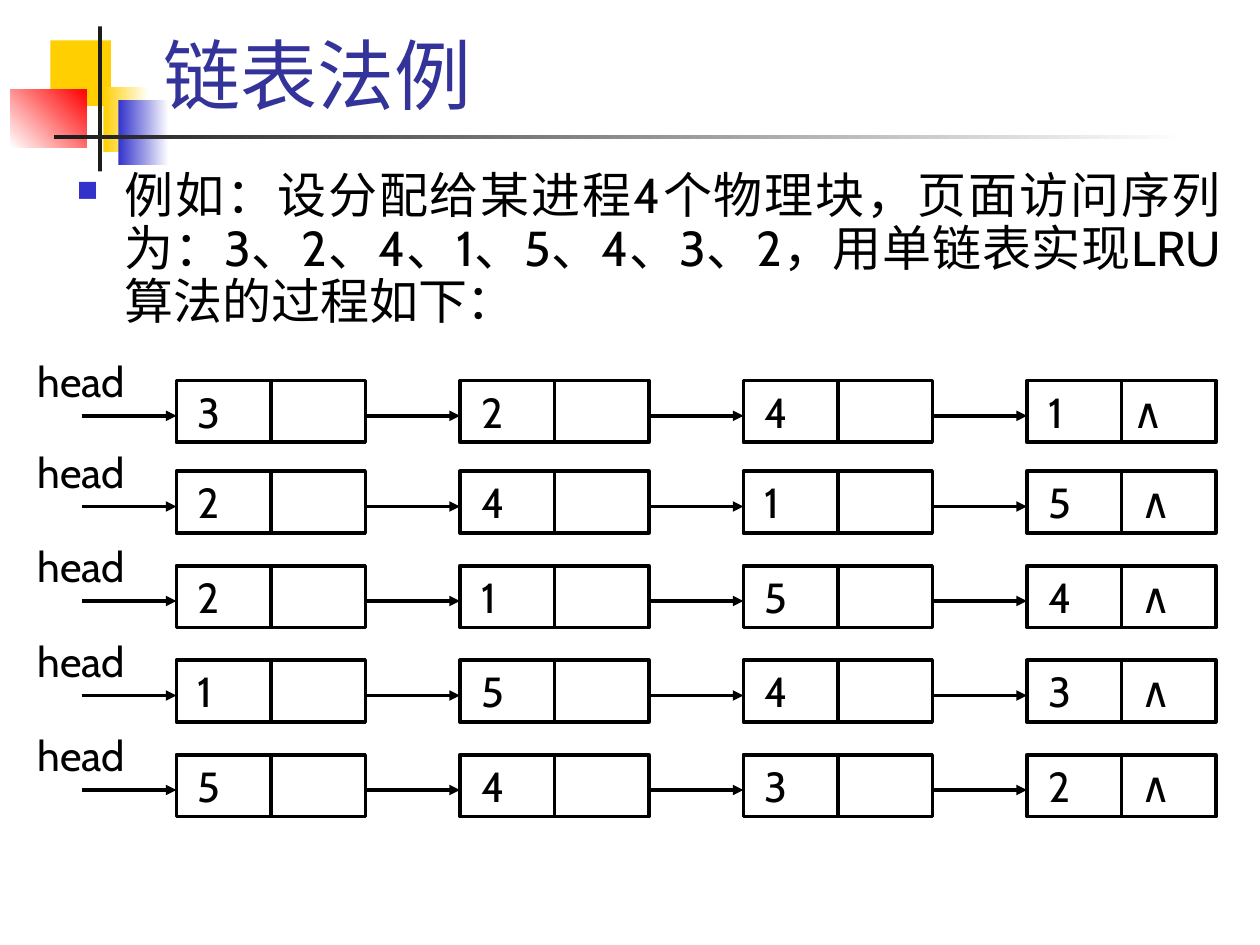
"""Build the slide showing LRU page replacement with a singly linked list."""
from dataclasses import dataclass

import pptx
import pptx.dml.color
import pptx.enum.shapes
import pptx.enum.text
import pptx.oxml
import pptx.oxml.ns
import pptx.util

PX = 9144
FONT = "Cabin"
COLORS = {
    "black": "000000", "ink": "1C1C1C", "white": "FFFFFF", "gold": "FFCF01",
    "blue": "3333CC", "red": "FF0000", "title": "333399",
}
ALIGN = pptx.enum.text.PP_ALIGN
ANCHOR = pptx.enum.text.MSO_ANCHOR
RECT = pptx.enum.shapes.MSO_SHAPE.RECTANGLE
STRAIGHT = pptx.enum.shapes.MSO_CONNECTOR.STRAIGHT

NODE_LEFT, NODE_PITCH, NODE_W, NODE_H = 140, 225, 150, 49
ARROW_W, ARROW_DROP = 75, 28


@dataclass
class Block:
    """A decorative rectangle with a solid or two-colour fill."""
    x: int
    y: int
    w: int
    h: int
    colors: tuple[str, ...]
    angle: int = 0


@dataclass
class ListRow:
    """One state of the linked list."""
    y: int
    pages: str
    null_tab: int = 73


BLOCKS = [
    Block(40, 32, 48, 52, ("gold",)),
    Block(82, 69, 36, 52, ("gold", "white")),
    Block(94, 79, 40, 52, ("blue", "white")),
    Block(8, 71, 61, 46, ("white", "red"), 45),
    Block(78, 21, 3, 115, ("ink",)),
    Block(43, 107, 900, 3, ("ink", "white")),
]
ROWS = [
    ListRow(302, "3241", 67),
    ListRow(374, "2415"),
    ListRow(449, "2154"),
    ListRow(524, "1543"),
    ListRow(599, "5432"),
]


def px(n: int) -> pptx.util.Emu:
    """Turn pixels into EMU."""
    return pptx.util.Emu(n * PX)


def rgb(name: str) -> pptx.dml.color.RGBColor:
    """Look up a named colour."""
    return pptx.dml.color.RGBColor.from_string(COLORS[name])


def add_xml(parent, xml: str) -> None:
    """Append a DrawingML element given as text with the a: prefix."""
    head, sep, rest = xml.partition(" ")
    parent.append(pptx.oxml.parse_xml(f"{head} {pptx.oxml.ns.nsdecls('a')} {rest}"))


def set_text(sp, text: str, size: int, color: str = "black", anchor=ANCHOR.MIDDLE,
             align=ALIGN.LEFT, insets: tuple[int, int] = (10, 5)):
    """Fill a shape with one formatted paragraph and return the paragraph."""
    tf = sp.text_frame
    tf.text = text
    tf.word_wrap = True
    tf.vertical_anchor = anchor
    tf.margin_left = tf.margin_right = px(insets[0])
    tf.margin_top = tf.margin_bottom = px(insets[1])
    p = tf.paragraphs[0]
    p.alignment = align
    for r in p.runs:
        r.font.name = FONT
        r.font.size = pptx.util.Pt(size)
        r.font.color.rgb = rgb(color)
    return p


def add_block(shapes, b: Block) -> None:
    """Draw one decorative rectangle."""
    sp = shapes.add_shape(RECT, px(b.x), px(b.y), px(b.w), px(b.h))
    sp.shadow.inherit = False
    sp.line.fill.background()
    if len(b.colors) == 1:
        sp.fill.solid()
        sp.fill.fore_color.rgb = rgb(b.colors[0])
        return
    sp.fill.gradient()
    sp.fill.gradient_angle = b.angle
    for stop, name in zip(sp.fill.gradient_stops, b.colors):
        stop.color.rgb = rgb(name)


def add_line(shapes, x1: int, y1: int, x2: int, y2: int, arrow: bool = False):
    """Draw a straight black line, with an arrowhead at its end on request."""
    cxn = shapes.add_connector(STRAIGHT, px(x1), px(y1), px(x2), px(y2))
    cxn.line.width = pptx.util.Pt(2)
    cxn.line.color.rgb = rgb("black")
    if arrow:
        add_xml(cxn.line._get_or_add_ln(), '<a:tailEnd type="triangle"/>')
    add_xml(cxn._element.spPr, "<a:effectLst />")
    return cxn


def add_node(shapes, x: int, y: int, text: str, null_tab: int) -> None:
    """Draw a list node, its divider and the arrow that leads to it."""
    sp = shapes.add_shape(RECT, px(x), px(y), px(NODE_W), px(NODE_H))
    sp.shadow.inherit = False
    sp.fill.background()
    sp.line.color.rgb = rgb("black")
    sp.line.width = pptx.util.Pt(2)
    p = set_text(sp, text, 24, insets=(17, 5))
    if "\t" in text:
        add_xml(p._p.get_or_add_pPr(),
                f'<a:tabLst ><a:tab pos="{px(null_tab)}" algn="l"/></a:tabLst>')
    mid = x + NODE_W // 2
    divider = add_line(shapes, mid, y, mid, y + NODE_H)
    divider.begin_connect(sp, 0)
    divider.end_connect(sp, 2)
    add_line(shapes, x - ARROW_W, y + ARROW_DROP, x, y + ARROW_DROP, arrow=True)


def add_row(s, row: ListRow) -> None:
    """Draw one linked list as a group."""
    shapes = s.shapes.add_group_shape().shapes
    for i, page in enumerate(row.pages):
        text = f"{page}\t∧" if i == len(row.pages) - 1 else page
        add_node(shapes, NODE_LEFT + i * NODE_PITCH, row.y, text, row.null_tab)
    label = shapes.add_textbox(px(23), px(row.y - 14), px(83), px(28))
    set_text(label, "head", 24, align=ALIGN.CENTER, insets=(0, 0))


def add_body(s) -> None:
    """Add the bulleted introduction."""
    body = s.shapes.add_textbox(px(51), px(131), px(928), px(138))
    p = set_text(body, "例如：设分配给某进程4个物理块，页面访问序列为：3、2、4、1、5、4、3、2，"
                 "用单链表实现LRU算法的过程如下：", 28,
                 anchor=ANCHOR.TOP, align=ALIGN.JUSTIFY)
    pPr = p._p.get_or_add_pPr()
    pPr.set("marL", str(px(38)))
    pPr.set("indent", str(px(-38)))
    add_xml(pPr, f'<a:buClr ><a:srgbClr val="{COLORS["blue"]}"/></a:buClr>')
    add_xml(pPr, '<a:buSzPct val="60000"/>')
    add_xml(pPr, '<a:buChar char="■"/>')
    p.line_spacing = 0.9


def main() -> None:
    """Build and save the slide."""
    prs = pptx.Presentation()
    prs.slide_width, prs.slide_height = px(1000), px(750)
    s = prs.slides.add_slide(prs.slide_layouts[6])
    for b in BLOCKS:
        add_block(s.shapes, b)
    title = s.shapes.add_textbox(px(120), px(17), px(852), px(83))
    set_text(title, "链表法例", 44, "title", ANCHOR.BOTTOM)
    add_body(s)
    for row in ROWS:
        add_row(s, row)
    prs.save("out.pptx")


if __name__ == "__main__":
    main()
